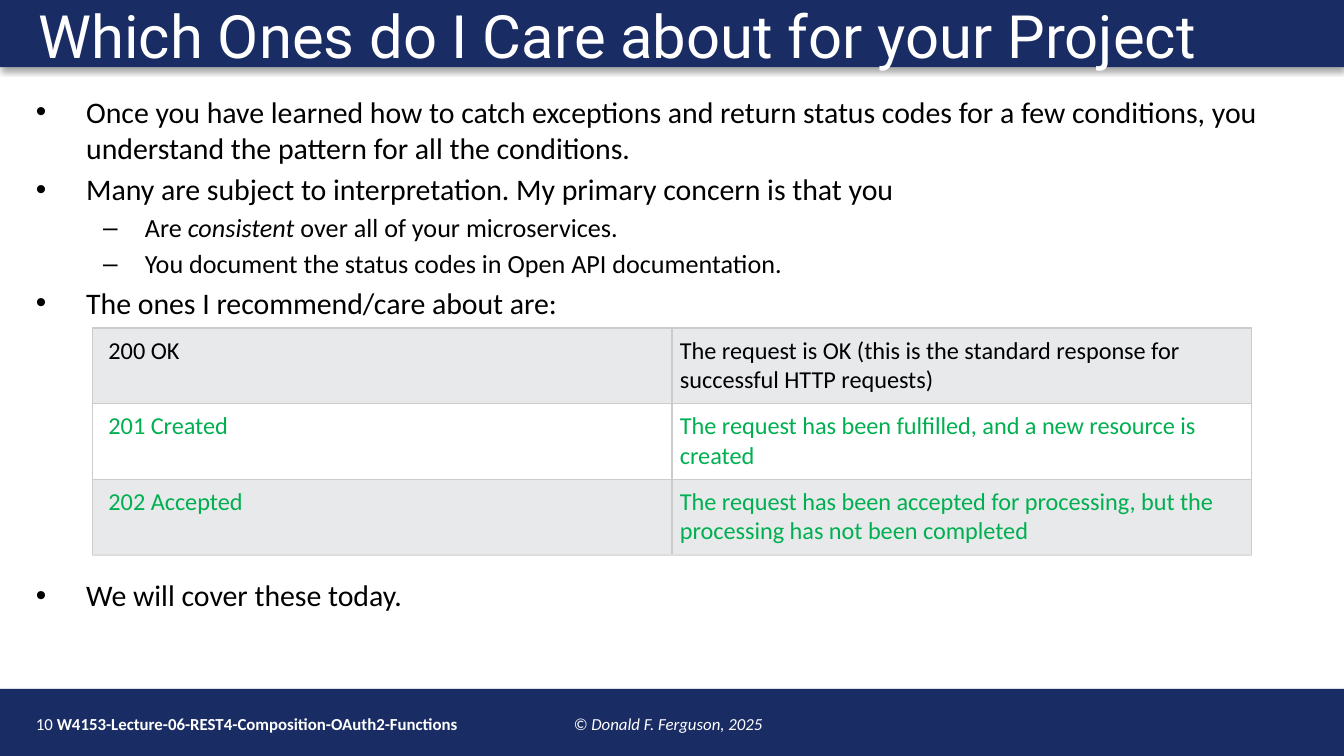
from lxml import etree
from pptx import Presentation
from pptx.dml.color import RGBColor
from pptx.enum.shapes import MSO_SHAPE
from pptx.enum.text import MSO_ANCHOR
from pptx.oxml import parse_xml
from pptx.oxml.ns import qn
from pptx.util import Cm, Pt

RECTANGLE = MSO_SHAPE.RECTANGLE
TOP = MSO_ANCHOR.TOP
DRAWING = "http://schemas.openxmlformats.org/drawingml/2006/main"
NAVY, WHITE, BLACK, GREEN = "1A2C64", "FFFFFF", "000000", "00B050"
BAND, BORDER, LAST_BORDER = "E7E9EB", "CCCCCC", "DDDDDD"

# Level: bullet, text indent (cm), hanging indent (cm), size, space before (pt)
LEVELS = [("•", 0.95, 0.95, 16, 3), ("–", 2.06, 0.79, 14, 2.5)]
TABLE_GAP = 137.5

BULLETS = [
    (0, ["Once you have learned how to catch exceptions and return status codes "
         "for a few conditions, you understand the pattern for all the conditions."], 0),
    (0, ["Many are subject to interpretation. My primary concern is that you"], None),
    (1, ["Are ", "consistent", " over all of your microservices."], None),
    (1, ["You document the status codes in Open API documentation."], None),
    (0, ["The ones I recommend/care about are:"], None),
    (0, ["We will cover these today."], TABLE_GAP),
]

STATUS_CODES = [
    ("200 OK", "The request is OK (this is the standard response for "
               "successful HTTP requests)", BLACK),
    ("201 Created", "The request has been fulfilled, and a new resource is created", GREEN),
    ("202 Accepted", "The request has been accepted for processing, but the "
                     "processing has not been completed", GREEN),
]


def color(value):
    return RGBColor.from_string(value)


class SlideBuilder:
    def __init__(self, slide, font="Calibri"):
        self.slide = slide
        self.font = font

    def bar(self, top):
        shape = self.slide.shapes.add_shape(RECTANGLE, 0, Cm(top), Cm(25.4), Cm(1.27))
        shape.fill.solid()
        shape.fill.fore_color.rgb = color(NAVY)
        shape.line.fill.background()
        shape.shadow.inherit = False
        effects = shape.element.spPr.find(qn("a:effectLst"))
        effects.append(parse_xml(
            f'<a:outerShdw xmlns:a="{DRAWING}" blurRad="{Pt(3.1)}" dist="{Pt(1.8)}" '
            f'dir="5400000" rotWithShape="0"><a:srgbClr val="{BLACK}">'
            '<a:alpha val="35000"/></a:srgbClr></a:outerShdw>'))

    def text_frame(self, left, top, width, height):
        box = self.slide.shapes.add_textbox(Cm(left), Cm(top), Cm(width), Cm(height))
        frame = box.text_frame
        frame.word_wrap = True
        frame.vertical_anchor = TOP
        return frame

    def run(self, paragraph, text, size, fill=BLACK, bold=False, italic=False, font=None):
        run = paragraph.add_run()
        run.text = text
        run.font.name = font or self.font
        run.font.size = Pt(size)
        run.font.bold = bold
        run.font.italic = italic
        run.font.color.rgb = color(fill)

    def title(self, text):
        paragraph = self.text_frame(0.48, 0, 24.08, 1.22).paragraphs[0]
        paragraph.line_spacing = 0.9
        self.run(paragraph, text, 32, WHITE, font="Roboto")

    def footer(self, number, lecture, notice):
        paragraph = self.text_frame(0.43, 13.31, 18.85, 0.71).paragraphs[0]
        tabs = etree.SubElement(paragraph._p.get_or_add_pPr(), qn("a:tabLst"))
        etree.SubElement(tabs, qn("a:tab"), pos=str(Cm(10.16)), algn="l")
        self.run(paragraph, f"{number} ", 9, WHITE)
        self.run(paragraph, lecture, 9, WHITE, bold=True)
        self.run(paragraph, "\t", 10.5, WHITE, italic=True)
        self.run(paragraph, notice, 9, WHITE, italic=True)

    def bullets(self, items):
        frame = self.text_frame(0.43, 1.65, 24.56, 11.23)
        for index, (level, texts, gap) in enumerate(items):
            paragraph = frame.add_paragraph() if index else frame.paragraphs[0]
            bullet, indent, hanging, size, space = LEVELS[level]
            paragraph.level = level
            properties = paragraph._p.get_or_add_pPr()
            properties.set("marL", str(Cm(indent)))
            properties.set("indent", str(-Cm(hanging)))
            etree.SubElement(properties, qn("a:buFont"), typeface="Arial")
            etree.SubElement(properties, qn("a:buChar"), char=bullet)
            paragraph.space_before = Pt(space if gap is None else gap)
            for position, text in enumerate(texts):
                self.run(paragraph, text, size, italic=position == 1)

    def cell_borders(self, cell, bottom):
        properties = cell._tc.get_or_add_tcPr()
        for side in "LRTB":
            line = etree.SubElement(properties, qn(f"a:ln{side}"), w=str(Pt(0.75)))
            fill = etree.SubElement(line, qn("a:solidFill"))
            etree.SubElement(fill, qn("a:srgbClr"), val=bottom if side == "B" else BORDER)

    def status_table(self, rows):
        row_height = 1.43
        table = self.slide.shapes.add_table(
            len(rows), 2, Cm(1.75), Cm(6.2), Cm(21.9), Cm(row_height * len(rows))).table
        table.first_row = False
        table.horz_banding = False
        for row, (code, meaning, text_color) in enumerate(rows):
            table.rows[row].height = Cm(row_height)
            bottom = LAST_BORDER if row == len(rows) - 1 else BORDER
            for column, text in enumerate((code, meaning)):
                cell = table.cell(row, column)
                self.cell_borders(cell, bottom)
                cell.fill.solid()
                cell.fill.fore_color.rgb = color(WHITE if row % 2 else BAND)
                cell.margin_left = Cm(0.15 if column else 0.3)
                cell.margin_top = cell.margin_right = cell.margin_bottom = Cm(0.15)
                cell.vertical_anchor = TOP
                self.run(cell.text_frame.paragraphs[0], text, 13, text_color)


def main():
    presentation = Presentation()
    presentation.slide_width = Cm(25.4)
    presentation.slide_height = Cm(14.29)
    builder = SlideBuilder(presentation.slides.add_slide(presentation.slide_layouts[6]))
    builder.bar(13.02)
    builder.footer(10, "W4153-Lecture-06-REST4-Composition-OAuth2-Functions",
                   "© Donald F. Ferguson, 2025")
    builder.bar(0)
    builder.bullets(BULLETS)
    builder.title("Which Ones do I Care about for your Project")
    builder.status_table(STATUS_CODES)
    presentation.save("out.pptx")


if __name__ == "__main__":
    main()
